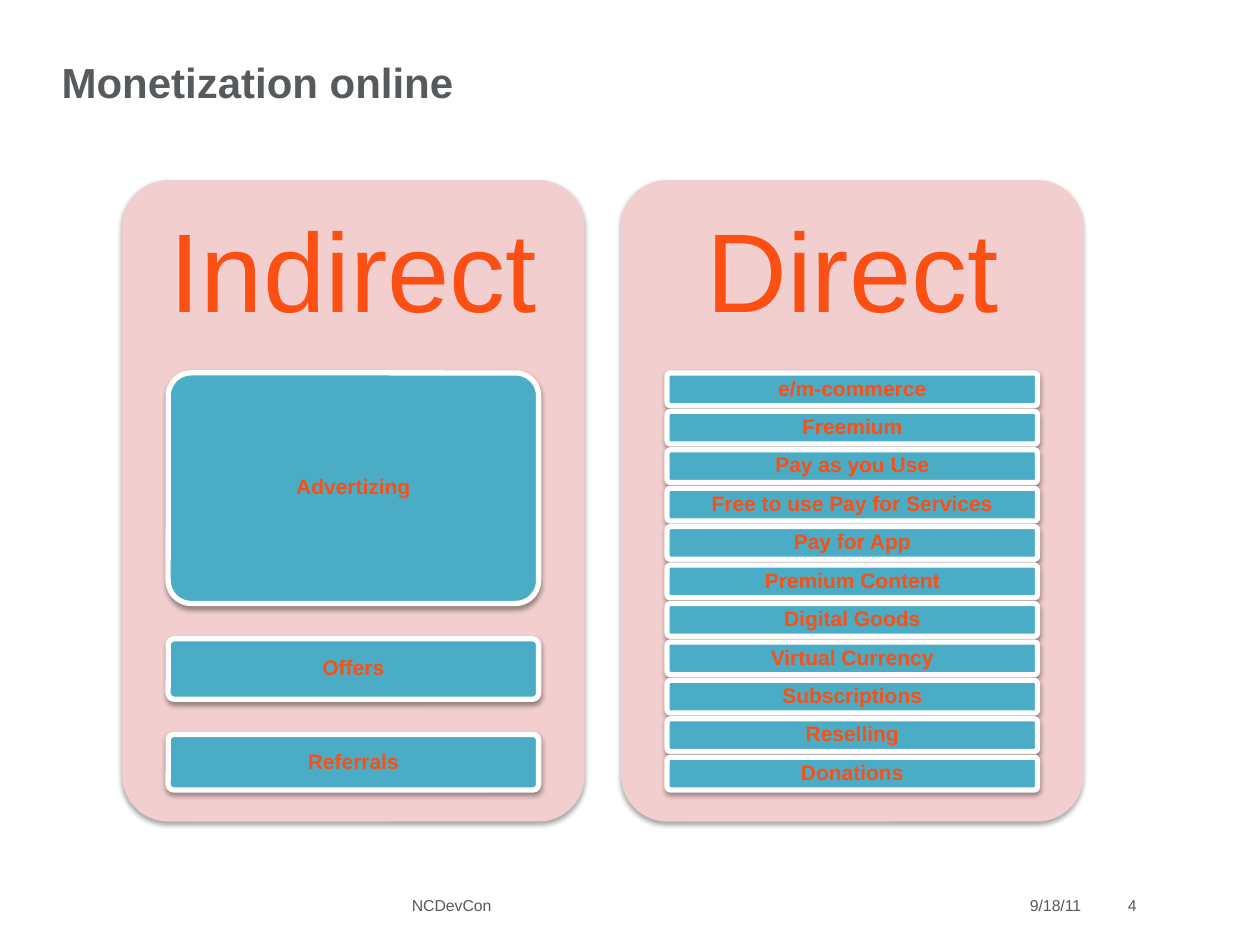
from lxml.etree import SubElement
from pptx import Presentation
from pptx.dml.color import RGBColor
from pptx.enum.shapes import MSO_SHAPE
from pptx.enum.text import MSO_ANCHOR, PP_ALIGN
from pptx.oxml.ns import qn
from pptx.util import Inches, Pt

GRAY, ORANGE, PINK, TEAL, WHITE = "565A5C", "FB4F14", "F2CECE", "4BACC6", "FFFFFF"

LABELS = [
    ("Monetization online", (0.39, 0.23, 7.4, 0.83), 24, True, PP_ALIGN.LEFT, MSO_ANCHOR.MIDDLE),
    ("9/18/11", (7.31, 7.08, 1.37, 0.23), 9, False, PP_ALIGN.RIGHT, MSO_ANCHOR.BOTTOM),
    ("NCDevCon", (3.17, 7.08, 3.17, 0.23), 9, False, PP_ALIGN.LEFT, MSO_ANCHOR.BOTTOM),
    ("4", (8.66, 7.08, 0.46, 0.23), 9, False, PP_ALIGN.RIGHT, MSO_ANCHOR.BOTTOM),
]
COLUMNS = [
    ("Indirect", [("Advertizing", 1.83), ("Offers", 0.48), ("Referrals", 0.44)]),
    ("Direct", [(name, 0.26) for name in (
        "e/m-commerce", "Freemium", "Pay as you Use", "Free to use Pay for Services",
        "Pay for App", "Premium Content", "Digital Goods", "Virtual Currency",
        "Subscriptions", "Reselling", "Donations")]),
]
PANEL_LEFT, PANEL_TOP, PANEL_W, PANEL_H, PANEL_PITCH = 0.97, 1.43, 3.67, 5.09, 3.96
HEAD_H, STACK_H, ITEM_W = 1.53, 3.31, 2.94


def rgb(color):
    return RGBColor.from_string(color)


def place(box):
    return [Inches(v) for v in box]


def write(sp, text, size, color, bold=False, align=PP_ALIGN.CENTER,
          anchor=MSO_ANCHOR.MIDDLE, inset=None, spacing=None):
    tf = sp.text_frame
    tf.text = text
    tf.word_wrap = True
    tf.vertical_anchor = anchor
    if inset is not None:
        tf.margin_left = tf.margin_right = tf.margin_top = tf.margin_bottom = Inches(inset)
    p = tf.paragraphs[0]
    p.alignment = align
    p.line_spacing = spacing
    font = p.runs[0].font
    font.name, font.size, font.bold = "Arial", Pt(size), bold
    font.color.rgb = rgb(color)


def add_shadow(sp, distance, opacity):
    sp.shadow.inherit = False
    effects = sp._element.spPr.find(qn("a:effectLst"))
    shadow = SubElement(effects, qn("a:outerShdw"), blurRad=str(Pt(3.1)),
                        dist=str(Pt(distance)), dir="5400000", rotWithShape="0")
    black = SubElement(shadow, qn("a:srgbClr"), val="000000")
    SubElement(black, qn("a:alpha"), val=str(opacity * 1000))


def add_card(s, box, fill, distance, opacity, line=None):
    sp = s.shapes.add_shape(MSO_SHAPE.ROUNDED_RECTANGLE, *place(box))
    sp.adjustments[0] = 0.1
    sp.fill.solid()
    sp.fill.fore_color.rgb = rgb(fill)
    if line:
        sp.line.color.rgb = rgb(line)
        sp.line.width = Pt(3)
    else:
        sp.line.fill.background()
    add_shadow(sp, distance, opacity)
    return sp


def add_column(s, left, heading, items):
    add_card(s, (left, PANEL_TOP, PANEL_W, PANEL_H), PINK, 1.8, 35)
    head = s.shapes.add_textbox(*place((left, PANEL_TOP, PANEL_W, HEAD_H)))
    write(head, heading, 64, ORANGE, inset=0.27, spacing=0.9)
    gap = (STACK_H - sum(height for _, height in items)) / (len(items) - 1)
    item_left = left + (PANEL_W - ITEM_W) / 2
    top = PANEL_TOP + HEAD_H
    for name, height in items:
        sp = add_card(s, (item_left, top, ITEM_W, height), TEAL, 1.6, 38, WHITE)
        write(sp, name, 12, ORANGE, bold=True, inset=0.03, spacing=0.9)
        top += height + gap


def main():
    prs = Presentation()
    prs.slide_width, prs.slide_height = Inches(10), Inches(7.5)
    s = prs.slides.add_slide(prs.slide_layouts[6])
    for text, box, size, bold, align, anchor in LABELS:
        write(s.shapes.add_textbox(*place(box)), text, size, GRAY, bold, align, anchor)
    for i, (heading, items) in enumerate(COLUMNS):
        add_column(s, PANEL_LEFT + i * PANEL_PITCH, heading, items)
    prs.save("out.pptx")


if __name__ == "__main__":
    main()
